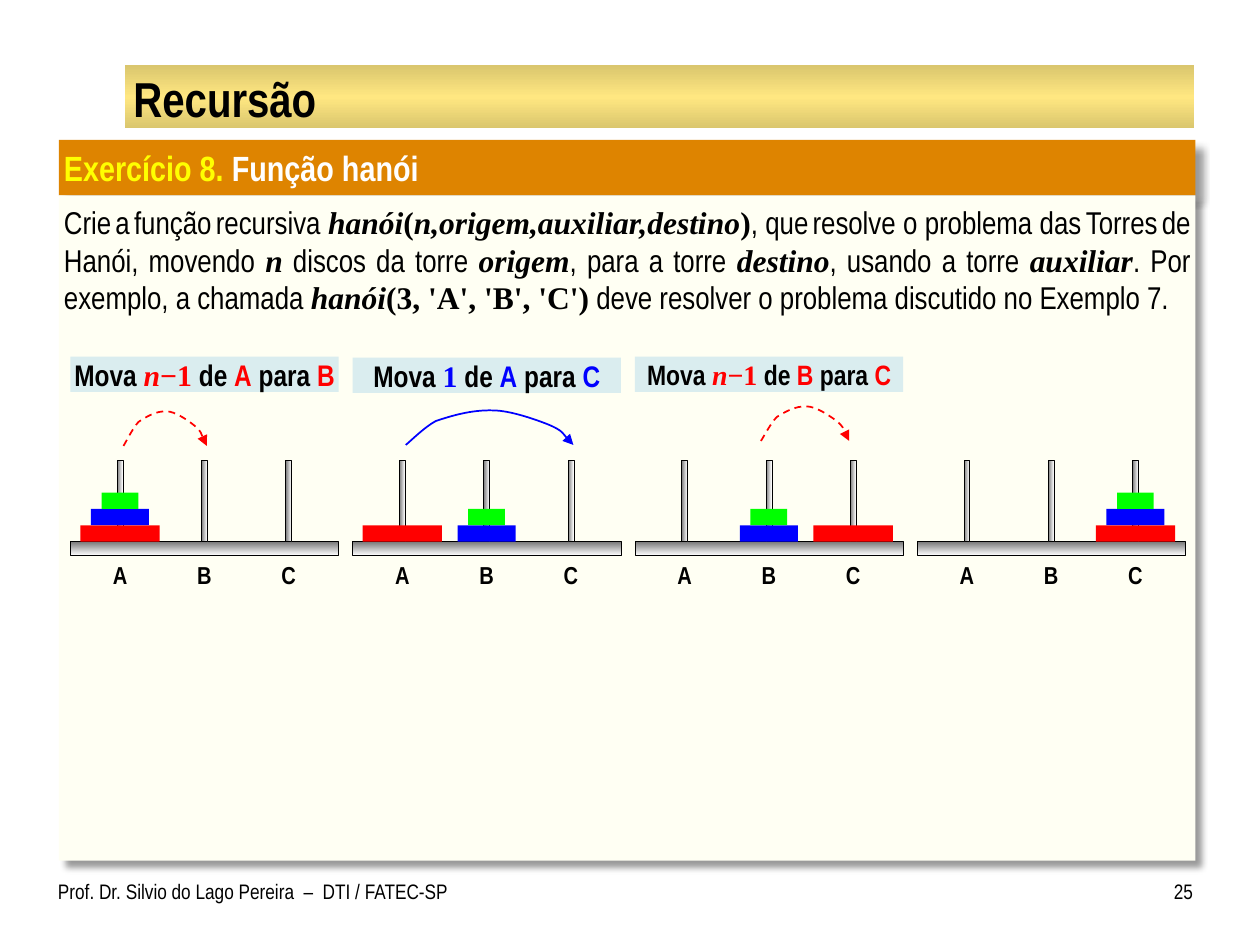
"""Builds the slide with the Tower of Hanoi recursion exercise."""
from copy import deepcopy

from lxml.etree import SubElement
from pptx import Presentation
from pptx.dml.color import RGBColor
from pptx.enum.dml import MSO_LINE
from pptx.enum.shapes import MSO_SHAPE
from pptx.enum.text import MSO_ANCHOR, PP_ALIGN
from pptx.oxml.ns import qn
from pptx.util import Cm, Pt

BLACK = RGBColor(0x00, 0x00, 0x00)
WHITE = RGBColor(0xFF, 0xFF, 0xFF)
YELLOW = RGBColor(0xFF, 0xFF, 0x00)
RED = RGBColor(0xFF, 0x00, 0x00)
GREEN = RGBColor(0x00, 0xFF, 0x00)
BLUE = RGBColor(0x00, 0x00, 0xFF)
ORANGE = RGBColor(0xDE, 0x84, 0x00)
CREAM = RGBColor(0xFF, 0xFF, 0xF3)
PALE = RGBColor(0xDA, 0xED, 0xEF)
GRAY = RGBColor(0x76, 0x76, 0x76)
GOLD = RGBColor(0xDA, 0xC6, 0x6E)
LIGHT_GOLD = RGBColor(0xFF, 0xE7, 0x81)

SANS, SERIF = "Arial Narrow", "Times New Roman"
BOARD_LEFT, BOARD_STEP, BOARD_TOP, BOARD_WIDTH = 1.42, 5.69, 10.92, 5.41
FIRST_PEG, PEG_STEP = 1.0, 1.7
DISC_HEIGHT = 0.33
DISCS = {"L": (1.6, RED), "M": (1.17, BLUE), "S": (0.74, GREEN)}
STATES = [("LMS", "", ""), ("L", "MS", ""), ("", "MS", "L"), ("", "", "LMS")]
ARC = [(0.03, 0.89), (0.11, 0.5), (0.18, 0.32), (0.27, 0.18), (0.39, 0),
       (0.52, 0.02), (0.62, 0.02), (0.77, 0.27), (0.85, 0.42), (0.94, 0.6),
       (0.97, 0.89), (1, 1)]


class Deck:
    """Holds the text style and the current slide."""

    def __init__(self, prs, font=SANS, color=BLACK):
        self.s = prs.slides.add_slide(prs.slide_layouts[6])
        self.font, self.color = font, color

    def rect(self, x, y, w, h, color=None):
        sp = self.s.shapes.add_shape(MSO_SHAPE.RECTANGLE, Cm(x), Cm(y), Cm(w), Cm(h))
        sp.shadow.inherit = False
        sp.line.fill.background()
        if color is not None:
            sp.fill.solid()
            sp.fill.fore_color.rgb = color
        return sp

    def gradient(self, x, y, w, h, colors, angle):
        sp = self.rect(x, y, w, h)
        sp.fill.gradient()
        sp.fill.gradient_angle = angle
        stops = sp._element.spPr.find(".//" + qn("a:gsLst"))
        for _ in colors[2:]:
            stops.append(deepcopy(stops[-1]))
        for i, (stop, color) in enumerate(zip(sp.fill.gradient_stops, colors)):
            stop.color.rgb = color
            stop.position = i / (len(colors) - 1)
        return sp

    def metal(self, x, y, w, h, angle):
        sp = self.gradient(x, y, w, h, [GRAY, WHITE], angle)
        sp.line.color.rgb = BLACK
        sp.line.width = Pt(0.25)

    def panel(self, x, y, w, h, color):
        sp = self.rect(x, y, w, h, color)
        effects = sp._element.spPr.find(qn("a:effectLst"))
        shadow = SubElement(effects, qn("a:outerShdw"), blurRad=str(Pt(4)),
                            dist=str(Pt(6)), dir="2700000", algn="tl", rotWithShape="0")
        black = SubElement(shadow, qn("a:srgbClr"), val="000000")
        SubElement(black, qn("a:alpha"), val="40000")
        return sp

    def set_text(self, sp, runs, size, align=PP_ALIGN.LEFT, anchor=MSO_ANCHOR.MIDDLE,
                 insets=(0, 0, 0, 0), wrap=True, bold=False):
        tf = sp.text_frame
        tf.word_wrap = wrap
        tf.vertical_anchor = anchor
        tf.margin_left, tf.margin_top, tf.margin_right, tf.margin_bottom = map(Cm, insets)
        p = tf.paragraphs[0]
        p.alignment = align
        for text, style in runs:
            r = p.add_run()
            r.text = text
            r.font.name = style.get("font", self.font)
            r.font.size = Pt(style.get("size", size))
            r.font.bold = style.get("bold", bold)
            r.font.italic = style.get("italic", False)
            r.font.color.rgb = style.get("color", self.color)

    def label(self, x, y, w, h, text, size, **options):
        box = self.s.shapes.add_textbox(Cm(x), Cm(y), Cm(w), Cm(h))
        self.set_text(box, [(text, {})], size, **options)

    def caption(self, x, y, runs, size):
        sp = self.rect(x, y, BOARD_WIDTH, 0.71, PALE)
        self.set_text(sp, runs, size, align=PP_ALIGN.CENTER, wrap=False, bold=True)

    def arc(self, x, y, w, color, dashed):
        h = 0.71
        points = [(Cm(x + w * px), Cm(y + h * py)) for px, py in ARC]
        builder = self.s.shapes.build_freeform(Cm(x), Cm(y + h))
        builder.add_line_segments(points, close=False)
        sp = builder.convert_to_shape()
        sp.shadow.inherit = False
        sp.fill.background()
        sp.line.color.rgb = color
        sp.line.width = Pt(1)
        if dashed:
            sp.line.dash_style = MSO_LINE.DASH
        SubElement(sp._element.spPr.find(qn("a:ln")), qn("a:tailEnd"), type="triangle")
        outline = sp._element.spPr.find(".//" + qn("a:path"))
        lines = outline.findall(qn("a:lnTo"))
        for i in range(0, len(lines), 3):
            curve = SubElement(outline, qn("a:cubicBezTo"))
            for line in lines[i:i + 3]:
                curve.append(line[0])
                outline.remove(line)

    def towers(self, x, state):
        self.metal(x, BOARD_TOP, BOARD_WIDTH, 0.28, 270)
        for i, (name, discs) in enumerate(zip("ABC", state)):
            center = x + FIRST_PEG + i * PEG_STEP
            self.metal(center - 0.06, 9.27, 0.12, 1.65, 0)
            self.label(center - 0.5, 11.25, 1, 0.66, name, 14,
                       align=PP_ALIGN.CENTER, wrap=False, bold=True)
            for level, disc in enumerate(discs, 1):
                width, color = DISCS[disc]
                self.rect(center - width / 2, BOARD_TOP - level * DISC_HEIGHT,
                          width, DISC_HEIGHT, color)


def move_runs(count, source, target, color):
    math = [(t, {"font": SERIF, "color": color, "italic": t == "n"}) for t in count]
    return [("Mova ", {}), *math, (" de ", {}), (source, {"color": color}),
            (" para ", {}), (target, {"color": color})]


def statement_runs():
    plain, small = {}, {"size": 10}
    upright = {"font": SERIF, "bold": True}
    term = {**upright, "italic": True}
    return [
        ("Crie", plain), (" ", small), ("a", plain), (" ", small),
        ("função", plain), (" ", small), ("recursiva ", plain),
        ("hanói", term), ("(", upright), ("n,origem,auxiliar,destino", term),
        (")", upright), (", que", plain), (" ", small),
        ("resolve o problema das", plain), (" ", small), ("Torres", plain),
        (" ", small), ("de", plain), (" ", small), ("Hanói, movendo ", plain),
        ("n", term), (" discos da torre ", plain), ("origem", term),
        (", para a torre ", plain), ("destino", term),
        (", usando a torre ", plain), ("auxiliar", term),
        (". Por exemplo, a chamada ", plain), ("hanói", term),
        ("(3, 'A', 'B', 'C')", upright),
        (" deve resolver o problema discutido no Exemplo 7.", plain),
    ]


def main():
    prs = Presentation()
    prs.slide_width, prs.slide_height = Cm(25.4), Cm(19.05)
    deck = Deck(prs)

    deck.gradient(2.52, 1.32, 21.56, 1.27, [GOLD, LIGHT_GOLD, GOLD], 270)
    deck.label(2.54, 1.37, 21.51, 1.19, "Recursão", 28, bold=True,
               insets=(0.15, 0.03, 0.15, 0.03))
    heading = deck.panel(1.19, 2.82, 22.91, 1.12, ORANGE)
    deck.set_text(heading, [("Exercício 8.", {"color": YELLOW}),
                            (" Função hanói", {"color": WHITE})],
                  20, bold=True, insets=(0.1, 0.13, 0.1, 0.13))
    body = deck.panel(1.19, 3.94, 22.91, 13.41, CREAM)
    deck.set_text(body, statement_runs(), 18, align=PP_ALIGN.JUSTIFY,
                  anchor=MSO_ANCHOR.TOP, insets=(0.1, 0.15, 0.1, 0.13))
    deck.label(1.17, 17.58, 8.31, 1.07,
               "Prof. Dr. Silvio do Lago Pereira  –  DTI / FATEC-SP", 12,
               anchor=MSO_ANCHOR.TOP, insets=(0, 0.13, 0.25, 0.13))
    deck.label(23.06, 17.58, 0.99, 1.07, "25", 12, align=PP_ALIGN.RIGHT,
               anchor=MSO_ANCHOR.TOP, insets=(0.25, 0.13, 0, 0.13))

    lefts = [BOARD_LEFT + i * BOARD_STEP for i in range(len(STATES))]
    for left, state in zip(lefts, STATES):
        deck.towers(left, state)
    moves = [
        (("n", "−1"), "A", "B", RED, 17, 7.19, (2.49, 8.28, 1.68)),
        (("1",), "A", "C", BLUE, 17, 7.21, (8.18, 8.26, 3.38)),
        (("n", "−1"), "B", "C", RED, 16, 7.19, (15.34, 8.18, 1.78)),
    ]
    for left, (count, source, target, color, size, top, arc) in zip(lefts, moves):
        deck.caption(left, top, move_runs(count, source, target, color), size)
        deck.arc(*arc, color, dashed=color == RED)

    prs.save("out.pptx")


if __name__ == "__main__":
    main()
